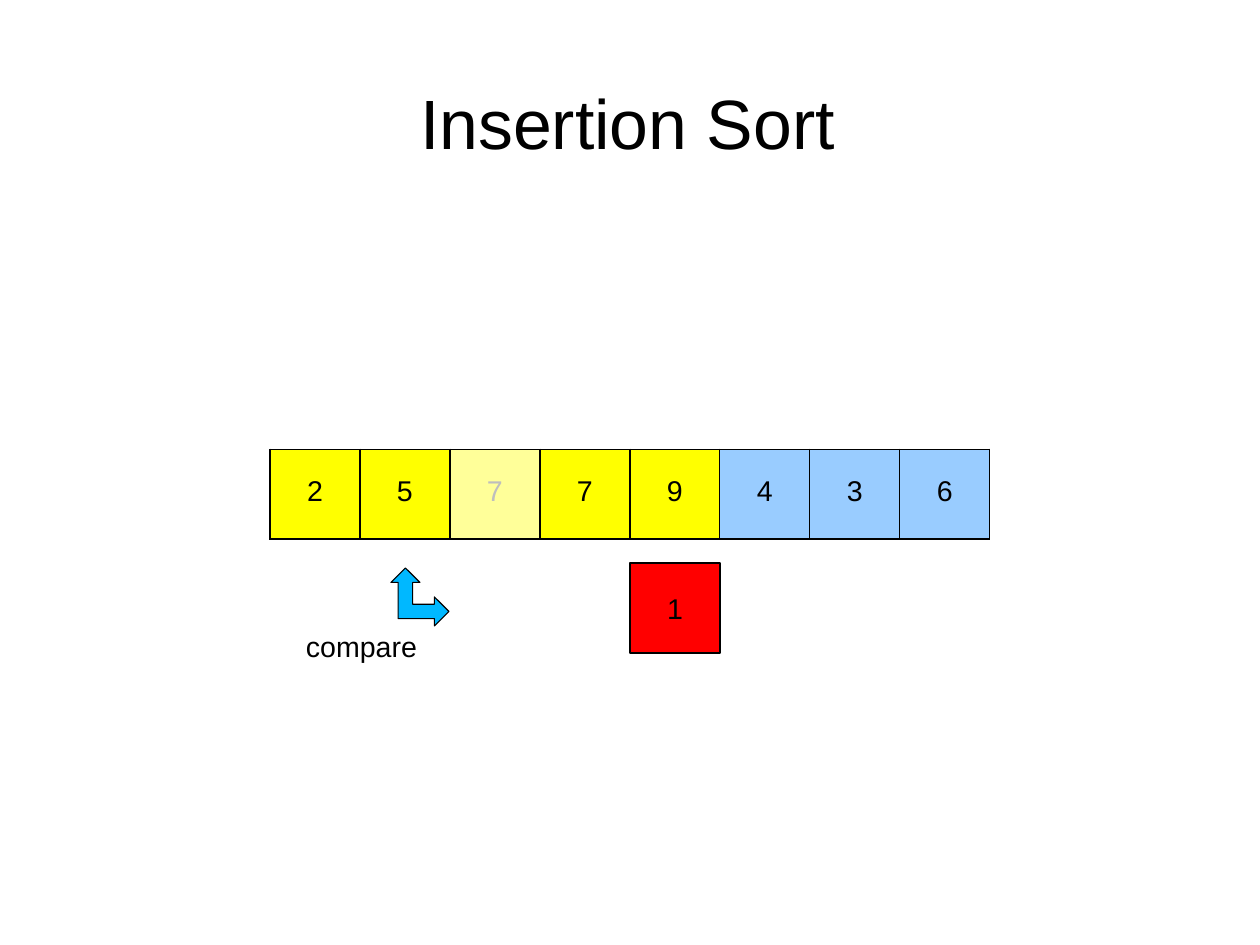
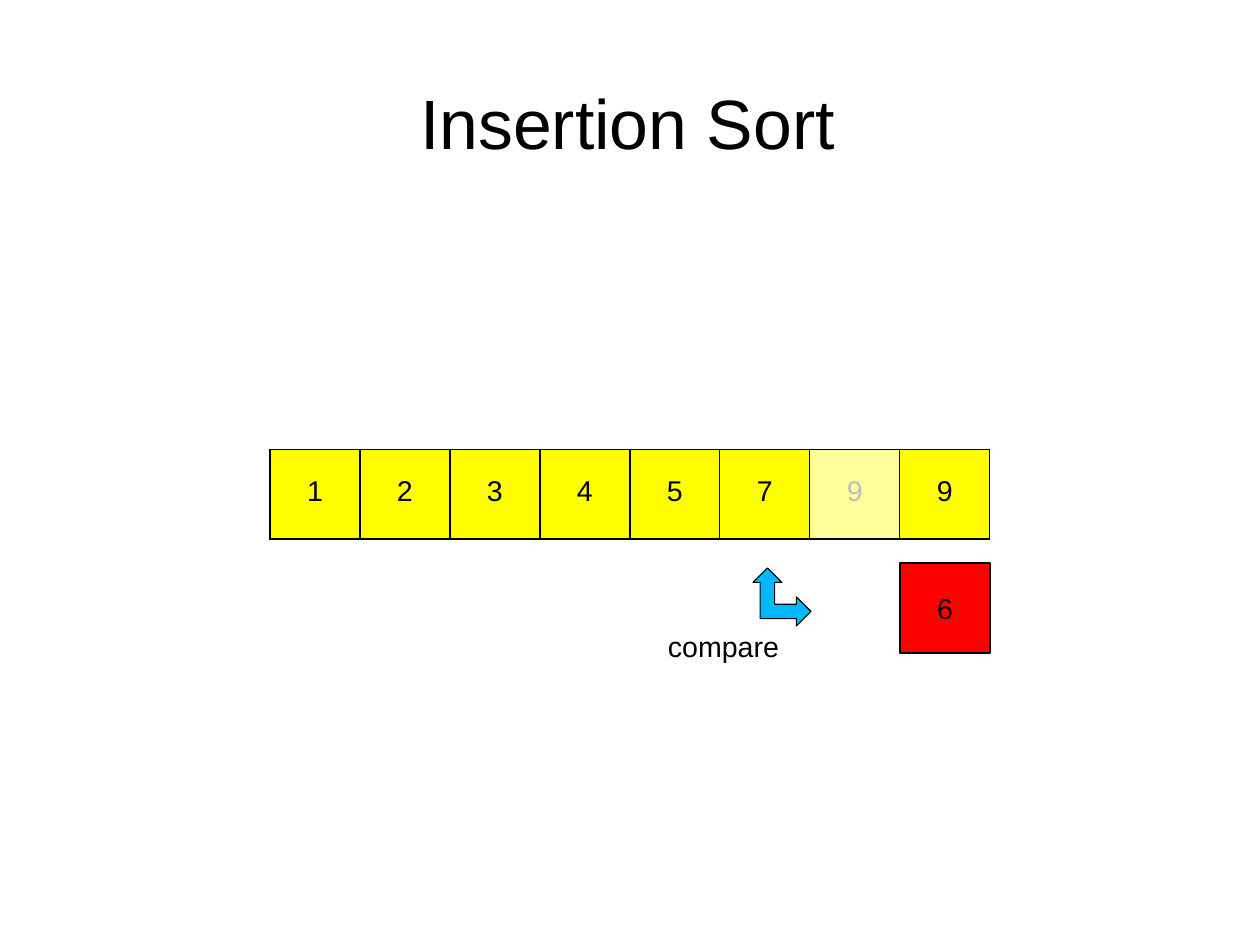
from lxml.etree import SubElement
from pptx import Presentation
from pptx.dml.color import RGBColor
from pptx.enum.shapes import MSO_SHAPE
from pptx.enum.text import MSO_ANCHOR, PP_ALIGN
from pptx.oxml import parse_xml
from pptx.oxml.ns import nsdecls, qn
from pptx.util import Emu, Pt

PX = 8007  # EMU per px
CELL = 90
ARRAY_LEFT, ARRAY_TOP = 270, 449
KEY_TOP = 563
ARROW_TOP, ARROW_SIZE = 568, 58
# Corner arrow on an 8 x 8 grid
ARROW_GRID = 8
ARROW_OUTLINE = [(2, 0), (4, 2), (3, 2), (3, 5), (6, 5), (6, 4), (8, 6),
                 (6, 8), (6, 7), (1, 7), (1, 2), (0, 2)]


def px(length):
    return Emu(length * PX)


def color(hex_string):
    return RGBColor.from_string(hex_string)


class SortDeck:
    FONT = "Arial"
    BLACK, GHOST_TEXT = "000000", "BEBEBE"
    SORTED, UNSORTED, KEY, ARROW = "FFFF00", "99CCFF", "FF0000", "00B8FF"
    TITLE_SIZE, BODY_SIZE = 44, 18
    GHOST_ALPHA = 40
    BORDERS = {"lnL": 1, "lnR": 1, "lnT": 0.75, "lnB": 0.75}

    def __init__(self):
        self.deck = Presentation()
        self.deck.slide_width, self.deck.slide_height = px(1260), px(945)
        self.slide = None

    def new_slide(self, title):
        self.slide = self.deck.slides.add_slide(self.deck.slide_layouts[6])
        self.label(title, 420, 71, 419, 87, self.TITLE_SIZE, inset=9)

    def set_text(self, frame, text, size, ink=BLACK, align=PP_ALIGN.LEFT):
        paragraph = frame.paragraphs[0]
        paragraph.text = text
        paragraph.alignment = align
        font = paragraph.font
        font.name, font.size = self.FONT, Pt(size)
        font.color.rgb = color(ink)

    def clear_margins(self, holder, top=0):
        holder.margin_left = holder.margin_right = holder.margin_bottom = 0
        holder.margin_top = px(top)

    def label(self, text, left, top, width, height, size, inset):
        frame = self.slide.shapes.add_textbox(
            px(left), px(top), px(width), px(height)).text_frame
        frame.word_wrap = True
        self.clear_margins(frame, inset)
        self.set_text(frame, text, size)

    def paint(self, shape, fill, line_width):
        shape.shadow.inherit = False
        shape.fill.solid()
        shape.fill.fore_color.rgb = color(fill)
        shape.line.color.rgb = color(self.BLACK)
        shape.line.width = Pt(line_width)

    def array(self, values, sorted_count, ghost):
        """Draw the values; the ghost cell holds the value just moved."""
        table = self.slide.shapes.add_table(
            1, len(values), px(ARRAY_LEFT), px(ARRAY_TOP),
            px(CELL * len(values)), px(CELL)).table
        table.first_row = table.horz_banding = False
        for index, value in enumerate(values):
            cell = table.cell(0, index)
            self.clear_margins(cell, 27)
            ink = self.GHOST_TEXT if index == ghost else self.BLACK
            self.set_text(cell.text_frame, str(value), self.BODY_SIZE, ink,
                          PP_ALIGN.CENTER)
            cell.fill.solid()
            cell.fill.fore_color.rgb = color(
                self.SORTED if index < sorted_count else self.UNSORTED)
            self.finish_cell(cell, index == ghost)

    def finish_cell(self, cell, is_ghost):
        properties = cell._tc.get_or_add_tcPr()
        if is_ghost:
            tint = properties.find(".//" + qn("a:srgbClr"))
            SubElement(tint, qn("a:alpha"), val=str(self.GHOST_ALPHA * 1000))
        for position, (side, width) in enumerate(self.BORDERS.items()):
            properties.insert(position, parse_xml(
                f'<a:{side} {nsdecls("a")} w="{Pt(width)}"><a:solidFill>'
                f'<a:srgbClr val="{self.BLACK}"/></a:solidFill></a:{side}>'))

    def key(self, value, index):
        """Draw the value being inserted, below its cell in the array."""
        box = self.slide.shapes.add_shape(
            MSO_SHAPE.RECTANGLE, px(ARRAY_LEFT + index * CELL), px(KEY_TOP),
            px(CELL), px(CELL))
        self.paint(box, self.KEY, 0.78)
        self.clear_margins(box.text_frame)
        box.text_frame.vertical_anchor = MSO_ANCHOR.MIDDLE
        self.set_text(box.text_frame, str(value), self.BODY_SIZE,
                      align=PP_ALIGN.CENTER)

    def compare(self, left):
        """Draw the corner arrow and its caption."""
        outline = self.slide.shapes.build_freeform(
            *ARROW_OUTLINE[0], scale=px(ARROW_SIZE) / ARROW_GRID)
        outline.add_line_segments(ARROW_OUTLINE[1:], close=True)
        arrow = outline.convert_to_shape(px(left), px(ARROW_TOP))
        self.paint(arrow, self.ARROW, 0.72)
        self.label("compare", left - 85, 626, 114, 38, self.BODY_SIZE, inset=3)


def main():
    # Values, sorted count, ghost index, key value, key index, arrow left
    steps = [
        ([2, 5, 7, 7, 9, 4, 3, 6], 5, 2, 1, 4, 391),
        ([1, 2, 3, 4, 5, 7, 9, 9], 8, 6, 6, 7, 753),
    ]
    sort = SortDeck()
    for values, sorted_count, ghost, key, key_index, arrow_left in steps:
        sort.new_slide("Insertion Sort")
        sort.array(values, sorted_count, ghost)
        sort.key(key, key_index)
        sort.compare(arrow_left)
    sort.deck.save("out.pptx")


if __name__ == "__main__":
    main()
